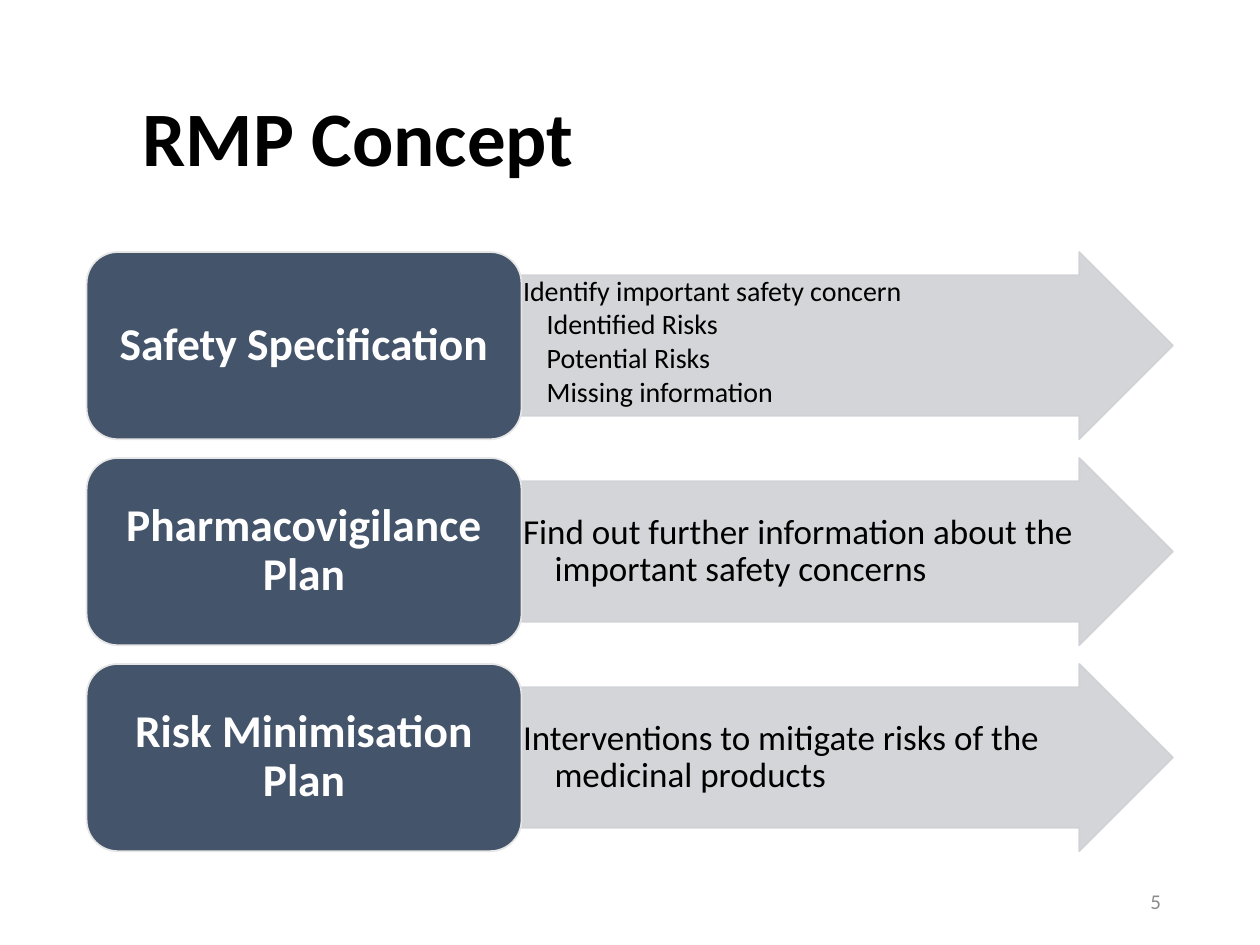
"""Build the RMP concept slide: three labelled plan stages with arrows."""
from lxml.etree import SubElement
from pptx import Presentation
from pptx.dml.color import RGBColor
from pptx.enum.shapes import MSO_SHAPE as Shape
from pptx.enum.text import MSO_ANCHOR as Anchor, PP_ALIGN as Align
from pptx.oxml.ns import qn
from pptx.util import Pt

COLOURS = {
    "ink": "000000",
    "white": "FFFFFF",
    "label": "44546A",
    "edge": "E7E6E6",
    "arrow": "CFD1D4",
    "number": "8C8C8C",
}


class SlideBuilder:
    """Hold the style and the current slide, and add its elements."""

    font = "Calibri"

    def __init__(self, page):
        self.page = page

    def colour(self, name):
        """Return a named colour."""
        return RGBColor.from_string(COLOURS[name])

    def place(self, box, area):
        """Move and size a box in points."""
        box.left, box.top, box.width, box.height = map(Pt, area)

    def frame(self, box, anchor, insets):
        """Set wrapping, anchor and insets of a text frame."""
        frame = box.text_frame
        frame.word_wrap = True
        frame.vertical_anchor = anchor
        (frame.margin_left, frame.margin_top,
         frame.margin_right, frame.margin_bottom) = map(Pt, insets)
        return frame

    def add_span(self, para, text, size, colour, bold=False,
                 align=Align.LEFT, spacing=0.9):
        """Add one styled run to a paragraph."""
        para.alignment = align
        para.line_spacing = spacing
        span = para.add_run()
        span.text = text
        span.font.name = self.font
        span.font.size = Pt(size)
        span.font.bold = bold
        span.font.color.rgb = self.colour(colour)

    def title(self, text, area):
        """Fill the title placeholder."""
        box = self.page.shapes.title
        self.place(box, area)
        frame = self.frame(box, Anchor.MIDDLE, (32, 3.6, 7.2, 3.6))
        self.add_span(frame.paragraphs[0], text, 44, "ink", bold=True)

    def shape(self, kind, area, fill, line, opacity=100):
        """Add a filled preset shape with a thin outline."""
        box = self.page.shapes.add_shape(kind, *map(Pt, area))
        box.shadow.inherit = False
        box.fill.solid()
        box.fill.fore_color.rgb = self.colour(fill)
        box.line.color.rgb = self.colour(line)
        box.line.width = Pt(1)
        if opacity < 100:
            for tint in box._element.spPr.iter(qn("a:srgbClr")):
                SubElement(tint, qn("a:alpha"), val=str(opacity * 1000))
        return box

    def text(self, text, area, size, colour, insets=(7.2, 3.6, 7.2, 3.6), **style):
        """Add a text box with one paragraph, centred vertically."""
        box = self.page.shapes.add_textbox(*map(Pt, area))
        frame = self.frame(box, Anchor.MIDDLE, insets)
        self.add_span(frame.paragraphs[0], text, size, colour, **style)

    def details(self, lines, area, size, hang, anchor):
        """Add hanging paragraphs, given as pairs of level and text."""
        box = self.page.shapes.add_textbox(*map(Pt, area))
        frame = self.frame(box, anchor, (0.9, 0.9, 0.9, 0.9))
        for index, (level, text) in enumerate(lines):
            para = frame.add_paragraph() if index else frame.paragraphs[0]
            para.level = level
            if index < len(lines) - 1:
                para.space_after = Pt(2)
            indent = para._p.get_or_add_pPr()
            indent.set("marL", str(Pt(hang * level)))
            indent.set("indent", str(-Pt(hang)))
            self.add_span(para, text, size, "ink")


STAGES = [
    ("Safety Specification", 16, 13.5, Anchor.TOP, [
        (1, "Identify important safety concern"),
        (2, "Identified Risks"),
        (2, "Potential Risks"),
        (2, "Missing information"),
    ]),
    ("Pharmacovigilance Plan", 20, 18, Anchor.MIDDLE, [
        (1, "Find out further information about the important safety concerns"),
    ]),
    ("Risk Minimisation Plan", 20, 18, Anchor.MIDDLE, [
        (1, "Interventions to mitigate risks of the medicinal products"),
    ]),
]
LEFT, TOP, HEIGHT, PITCH = 49.5, 144, 107, 117.7
LABEL_WIDTH, ARROW_WIDTH, INSET = 248.5, 372.25, 5.2
SHAFT = 0.75


def main():
    """Build and save the deck."""
    deck = Presentation()
    deck.slide_width, deck.slide_height = Pt(720), Pt(540)
    slide = SlideBuilder(deck.slides.add_slide(deck.slide_layouts[5]))
    slide.title("RMP Concept", (LEFT, 28.75, 621, 104.4))

    arrow_left = LEFT + LABEL_WIDTH
    for row, (label, size, hang, anchor, lines) in enumerate(STAGES):
        top = TOP + row * PITCH
        arrow = slide.shape(Shape.RIGHT_ARROW, (arrow_left, top, ARROW_WIDTH, HEIGHT),
                            "arrow", "arrow", opacity=90)
        arrow.adjustments[0], arrow.adjustments[1] = SHAFT, 0.5
        shaft_top = top + HEIGHT * (1 - SHAFT) / 2
        slide.details(lines, (arrow_left, shaft_top, 332.5, HEIGHT * SHAFT),
                      size, hang, anchor)
        slide.shape(Shape.ROUNDED_RECTANGLE, (LEFT, top, LABEL_WIDTH, HEIGHT),
                    "label", "edge")
        slide.text(label, (LEFT + INSET, top + INSET,
                           LABEL_WIDTH - 2 * INSET, HEIGHT - 2 * INSET),
                   26, "white", insets=(7.8, 3.9, 7.8, 3.9), bold=True, align=Align.CENTER)

    slide.text("5", (508.5, 500.5, 162, 28.75), 12, "number",
               align=Align.RIGHT, spacing=1.0)
    deck.save("out.pptx")


main()
